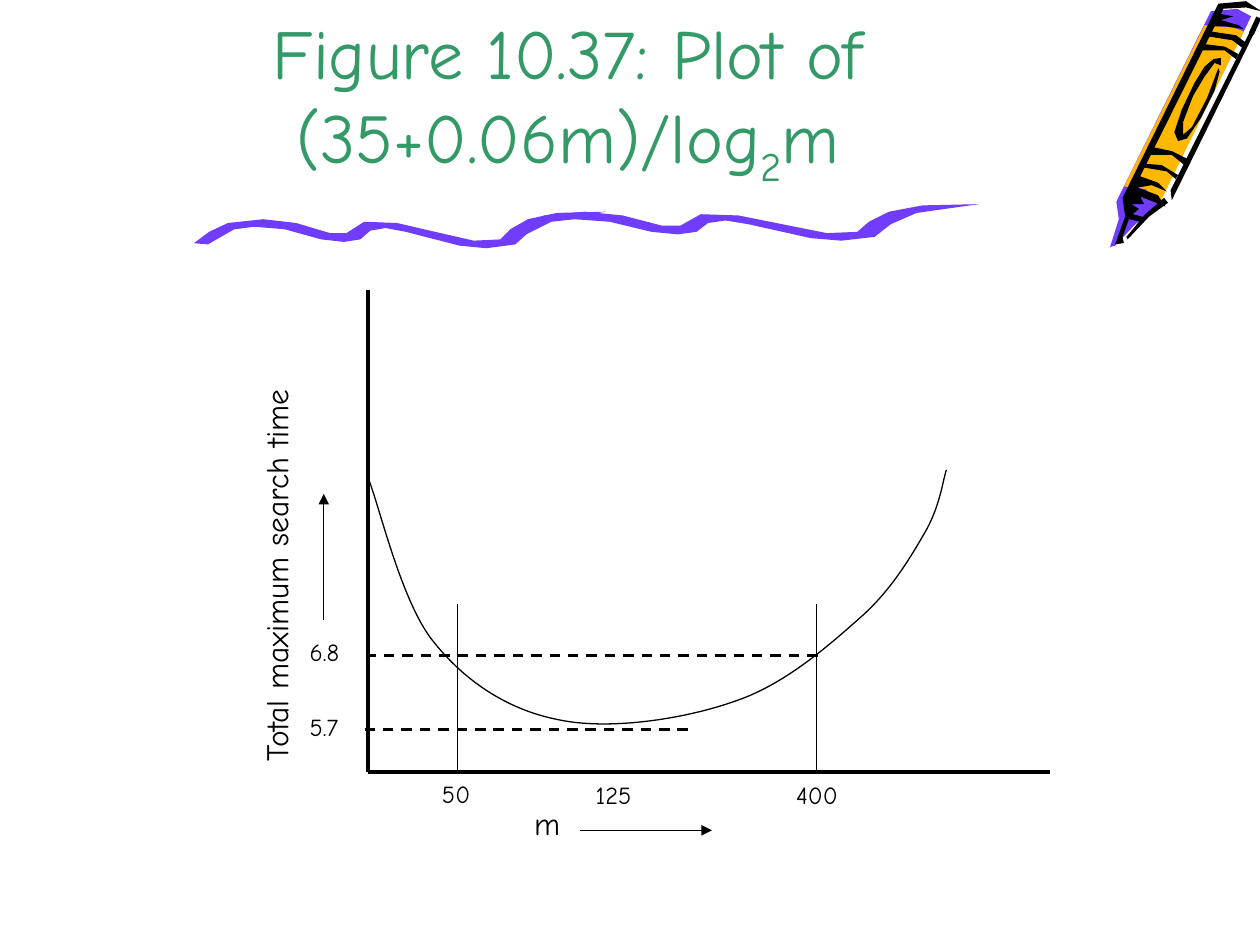
import pptx
import pptx.util
import pptx.dml.color
import pptx.enum.dml
import pptx.enum.shapes
import pptx.enum.text
import pptx.oxml
from lxml import etree

Inches = pptx.util.Inches
FONT = "Comic Neue"
COLORS = {"violet": "703DFF", "amber": "FFB800", "black": "000000", "title": "339966"}

# Content: title runs with their baseline shift
TITLE = [("Figure 10.37: Plot of (35+0.06m)/log", None), ("2", "-25000"), ("m", None)]

# Labels: text, left, top, width, height, size, rotation
LABELS = [
    ("50", 3.41, 6.13, 0.44, 0.34, 14, 0),
    ("400", 6.22, 6.14, 0.6, 0.34, 14, 0),
    ("125", 4.63, 6.14, 0.6, 0.34, 14, 0),
    ("5.7", 2.36, 5.6, 0.56, 0.34, 14, 0),
    ("6.8", 2.36, 5.01, 0.56, 0.34, 14, 0),
    ("m", 4.14, 6.33, 0.41, 0.4, 18, 0),
    ("Total maximum search time", 0.46, 4.21, 3.46, 0.4, 18, 270),
]

# Plot lines: start, end, width, style
ORIGIN = (2.92, 6.13)
LINES = [
    ((2.92, 2.3), ORIGIN, 2.25, "solid"),
    (ORIGIN, (8.33, 6.13), 2.25, "solid"),
    ((5.46, 5.79), (2.9, 5.79), 1.5, "dash"),
    ((6.49, 5.2), (2.9, 5.2), 1.5, "dash"),
    ((6.48, 4.79), (6.48, 6.13), 0.75, "solid"),
    ((3.63, 4.79), (3.63, 6.13), 0.75, "solid"),
    ((2.57, 4.92), (2.57, 3.92), 0.75, "arrow"),
    ((4.6, 6.59), (5.65, 6.59), 0.75, "arrow"),
]

# Start point, then two control points and an end point per segment
CURVE = [
    (2.92, 3.79), (3.01, 4.01), (3.18, 4.76), (3.43, 5.08),
    (3.68, 5.4), (4.02, 5.63), (4.42, 5.71), (4.82, 5.8), (5.42, 5.71), (5.82, 5.57),
    (6.22, 5.44), (6.57, 5.13), (6.83, 4.9), (7.08, 4.68), (7.24, 4.4), (7.35, 4.21),
    (7.46, 4.01), (7.48, 3.83), (7.51, 3.73),
]

# Crayon parts, back to front
CRAYON = [
    ("violet", [(9.93, 0.13), (9.17, 1.66), (9.01, 1.78), (8.85, 1.95), (8.81, 1.96),
                (8.88, 1.74), (8.86, 1.6), (9.61, 0.09), (9.82, 0.07)]),
    ("amber", [(9.21, 1.6), (9.09, 1.5), (8.92, 1.48), (9.56, 0.2), (9.79, 0.22),
               (9.87, 0.25)]),
    ("black", [(9.27, 1.61), (9.12, 1.72), (8.95, 1.9), (8.94, 1.88), (9.09, 1.7),
               (9.24, 1.57)]),
    ("black", [(9.87, 0.23), (9.73, 0.21), (9.61, 0.21), (9.68, 0.11), (9.79, 0.13),
               (9.69, 0.16), (9.83, 0.2)]),
    ("black", [(9.68, 0.57), (9.64, 0.72), (9.53, 0.94), (9.42, 1.1), (9.35, 1.12),
               (9.32, 1.05), (9.38, 0.87), (9.48, 0.66), (9.56, 0.53), (9.63, 0.47),
               (9.69, 0.46), (9.69, 0.52), (9.64, 0.5), (9.56, 0.61), (9.47, 0.76),
               (9.39, 0.97), (9.39, 1.07), (9.46, 1.01), (9.58, 0.78), (9.67, 0.54)]),
    ("black", [(9.97, 0.23), (9.3, 1.59), (9.29, 1.51), (9.93, 0.23)]),
    ("black", [(9.25, 1.64), (9.19, 1.55), (9.03, 1.49), (9.14, 1.47), (9.26, 1.52),
               (9.19, 1.45), (9.05, 1.4), (9.71, 0.07), (9.89, 0.06), (10.01, 0.09),
               (9.89, 0.01), (9.67, 0.03), (8.91, 1.57), (8.93, 1.72), (8.85, 1.94),
               (8.92, 1.93), (8.91, 1.88), (8.96, 1.74), (9.05, 1.76), (9.1, 1.73),
               (8.99, 1.7), (9.04, 1.66), (8.98, 1.62), (9.08, 1.62), (9.05, 1.56)]),
    ("black", [(9.33, 1.42), (9.26, 1.36), (9.08, 1.33), (9.09, 1.3), (9.22, 1.31),
               (9.35, 1.39)]),
    ("black", [(9.4, 1.31), (9.3, 1.23), (9.13, 1.23), (9.16, 1.17), (9.3, 1.2),
               (9.42, 1.26)]),
    ("black", [(9.81, 0.47), (9.72, 0.4), (9.53, 0.4), (9.56, 0.35), (9.72, 0.37),
               (9.83, 0.43)]),
    ("black", [(9.86, 0.38), (9.78, 0.32), (9.59, 0.29), (9.61, 0.25), (9.81, 0.28),
               (9.89, 0.34)]),
]
CRAYON_EDGE = ((9.99, 0.14), (9.93, 0.27), 3, "solid")

# Wavy underline: drawn twice, the second wave wider and a little higher
WAVE = [
    (1.65, 1.94), (1.86, 1.82), (2.02, 1.8), (2.26, 1.82), (2.55, 1.9), (2.73, 1.92),
    (2.86, 1.9), (2.94, 1.83), (3.06, 1.81), (3.22, 1.84), (3.65, 1.95), (3.86, 1.97),
    (4.09, 1.94), (4.2, 1.84), (4.38, 1.75), (4.81, 1.68), (4.42, 1.69), (4.19, 1.74),
    (4.05, 1.82), (3.97, 1.9), (3.76, 1.91), (3.54, 1.86), (3.15, 1.77), (2.89, 1.76),
    (2.75, 1.85), (2.62, 1.85), (2.35, 1.77), (2.09, 1.74), (1.81, 1.77), (1.66, 1.84),
    (1.54, 1.93),
]
WAVE_LEFT, SECOND_LEFT, SECOND_STRETCH, SECOND_RISE = 1.54, 4.01, 1.15, 0.06

presentation = pptx.Presentation()
presentation.slide_width, presentation.slide_height = Inches(10), Inches(7.5)
slide = presentation.slides.add_slide(presentation.slide_layouts[6])


def color(name):
    return pptx.dml.color.RGBColor.from_string(COLORS[name])


def add_outline(points, close):
    (start_x, start_y), *rest = [(Inches(x), Inches(y)) for x, y in points]
    builder = slide.shapes.build_freeform(start_x, start_y)
    builder.add_line_segments(rest, close=close)
    shape = builder.convert_to_shape()
    shape.shadow.inherit = False
    return shape


def add_filled(points, fill):
    shape = add_outline(points, True)
    shape.fill.solid()
    shape.fill.fore_color.rgb = color(fill)
    shape.line.fill.background()


def add_line(start, end, width, style):
    connector = slide.shapes.add_connector(
        pptx.enum.shapes.MSO_CONNECTOR.STRAIGHT, *map(Inches, start + end))
    connector.line.color.rgb = color("black")
    connector.line.width = pptx.util.Pt(width)
    if style == "dash":
        connector.line.dash_style = pptx.enum.dml.MSO_LINE.DASH
    properties = connector._element.spPr
    if style == "arrow":
        line = properties.find(pptx.oxml.ns.qn("a:ln"))
        etree.SubElement(line, pptx.oxml.ns.qn("a:tailEnd"), type="triangle")
    etree.SubElement(properties, pptx.oxml.ns.qn("a:effectLst"))


def add_curve(points):
    shape = add_outline(points, False)
    shape.fill.background()
    shape.line.color.rgb = color("black")
    shape.line.width = pptx.util.Pt(0.75)
    # Merge each three straight steps into one Bézier segment
    steps = list(shape._element.iter(pptx.oxml.ns.qn("a:lnTo")))
    path = steps[0].getparent()
    for first in range(0, len(steps), 3):
        segment = etree.SubElement(path, pptx.oxml.ns.qn("a:cubicBezTo"))
        for step in steps[first:first + 3]:
            segment.append(step[0])
            path.remove(step)


def add_text(runs, left, top, width, height, size, rotation=0, name="black"):
    box = slide.shapes.add_textbox(*map(Inches, (left, top, width, height)))
    box.rotation = rotation
    box.text_frame.word_wrap = True
    paragraph = box.text_frame.paragraphs[0]
    formats = {"name": FONT, "size": pptx.util.Pt(size)}
    for text, baseline in runs:
        run = paragraph.add_run()
        run.text = text
        for attribute, value in formats.items():
            setattr(run.font, attribute, value)
        run.font.color.rgb = color(name)
        if baseline:
            run._r.get_or_add_rPr().set("baseline", baseline)
    return box


# Crayon and wavy underline
for fill, points in CRAYON:
    add_filled(points, fill)
add_line(*CRAYON_EDGE)
add_filled(WAVE, "violet")
add_filled([(SECOND_LEFT + (x - WAVE_LEFT) * SECOND_STRETCH, y - SECOND_RISE)
            for x, y in WAVE], "violet")

# Title
title = add_text(TITLE, 0.75, 0, 7.51, 1.55, 40, name="title")
title.text_frame.vertical_anchor = pptx.enum.text.MSO_ANCHOR.BOTTOM
title.text_frame.paragraphs[0].alignment = pptx.enum.text.PP_ALIGN.CENTER

# Plot
add_curve(CURVE)
for line in LINES:
    add_line(*line)
for text, *place in LABELS:
    add_text([(text, None)], *place)

presentation.save("out.pptx")
